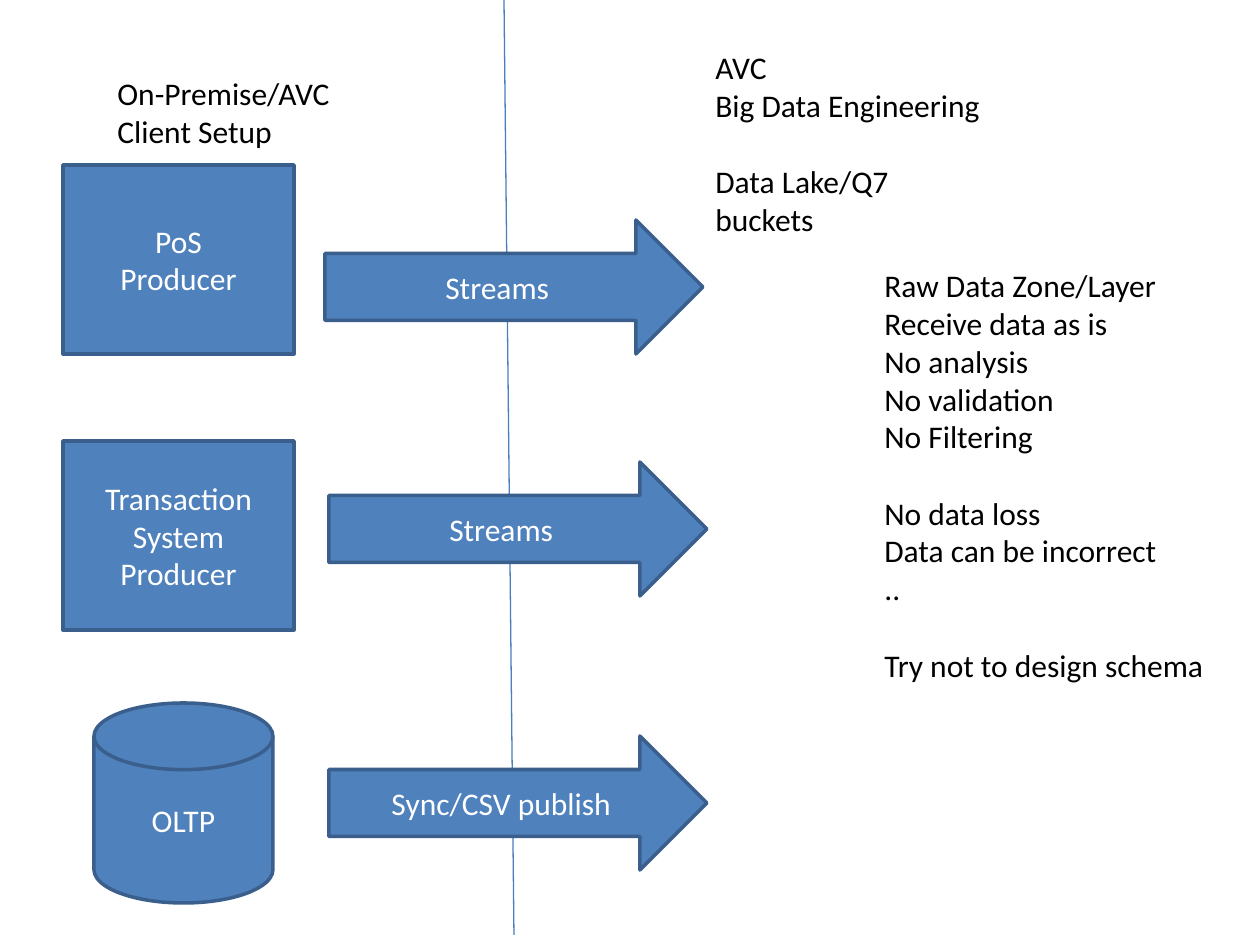
import pptx
import pptx.util
import pptx.dml.color
import pptx.enum.shapes
import pptx.enum.text
import pptx.oxml

SHAPE = pptx.enum.shapes.MSO_SHAPE
ALIGN = pptx.enum.text.PP_ALIGN
ANCHOR = pptx.enum.text.MSO_ANCHOR
RGBColor = pptx.dml.color.RGBColor

BLUE = RGBColor(0x4F, 0x81, 0xBD)
EDGE = RGBColor(0x3A, 0x5F, 0x8C)
DIVIDER = RGBColor(0x4B, 0x7E, 0xBC)
WHITE = RGBColor(255, 255, 255)
BLACK = RGBColor(0, 0, 0)
LINE_GAP = 22

sources = [
    (SHAPE.RECTANGLE, (63, 165, 231, 189), ["PoS", "Producer"]),
    (SHAPE.RECTANGLE, (63, 441, 231, 189), ["Transaction", "System", "Producer"]),
    (SHAPE.FLOWCHART_MAGNETIC_DISK, (94, 703, 179, 200), ["OLTP"]),
]
arrows = [
    (325, 220, "Streams"),
    (329, 462, "Streams"),
    (329, 736, "Sync/CSV publish"),
]
ARROW_SIZE = (378, 134)
notes = [
    ((703, 42, 300, 204), [["AVC", "Big Data Engineering"], ["Data Lake/Q7 buckets"]]),
    ((105, 68, 248, 89), [["On-Premise/AVC", "Client Setup"]]),
    ((872, 260, 348, 471), [
        ["Raw Data Zone/Layer", "Receive data as is", "No analysis",
         "No validation", "No Filtering"],
        ["No data loss", "Data can be incorrect", ".."],
        ["Try not to design schema"],
    ]),
]


def px(length):
    return pptx.util.Emu(round(length * 914400 / 126))


def write(frame, groups, color=BLACK, align=ALIGN.LEFT, anchor=ANCHOR.TOP, wrap=True):
    frame.word_wrap = wrap
    frame.vertical_anchor = anchor
    lines = [(line, number > 0 and index == 0)
             for number, group in enumerate(groups)
             for index, line in enumerate(group)]
    for position, (line, new_group) in enumerate(lines):
        para = frame.paragraphs[0] if position == 0 else frame.add_paragraph()
        para.alignment = align
        if new_group:
            para.space_before = pptx.util.Pt(LINE_GAP)
        span = para.add_run()
        span.text = line
        span.font.name = "Calibri"
        span.font.size = pptx.util.Pt(18)
        span.font.color.rgb = color


def add_block(page, kind, place, lines):
    block = page.shapes.add_shape(kind, *map(px, place))
    block.shadow.inherit = False
    block.fill.solid()
    block.fill.fore_color.rgb = BLUE
    block.line.color.rgb = EDGE
    block.line.width = pptx.util.Pt(2)
    write(block.text_frame, [lines], color=WHITE, align=ALIGN.CENTER, anchor=ANCHOR.MIDDLE)


deck = pptx.Presentation()
deck.slide_width, deck.slide_height = px(1260), px(945)
page = deck.slides.add_slide(deck.slide_layouts[6])

divider = page.shapes.add_connector(
    pptx.enum.shapes.MSO_CONNECTOR.STRAIGHT, px(504), px(0), px(514), px(935))
divider.line.color.rgb = DIVIDER
divider.line.width = pptx.util.Pt(0.75)
divider._element.spPr.append(pptx.oxml.parse_xml(
    '<a:effectLst xmlns:a="http://schemas.openxmlformats.org/drawingml/2006/main"/>'))

for kind, place, lines in sources:
    add_block(page, kind, place, lines)
for left, top, label in arrows:
    add_block(page, SHAPE.RIGHT_ARROW, (left, top, *ARROW_SIZE), [label])
for place, groups in notes:
    box = page.shapes.add_textbox(*map(px, place))
    write(box.text_frame, groups, wrap=False)

deck.save("out.pptx")
